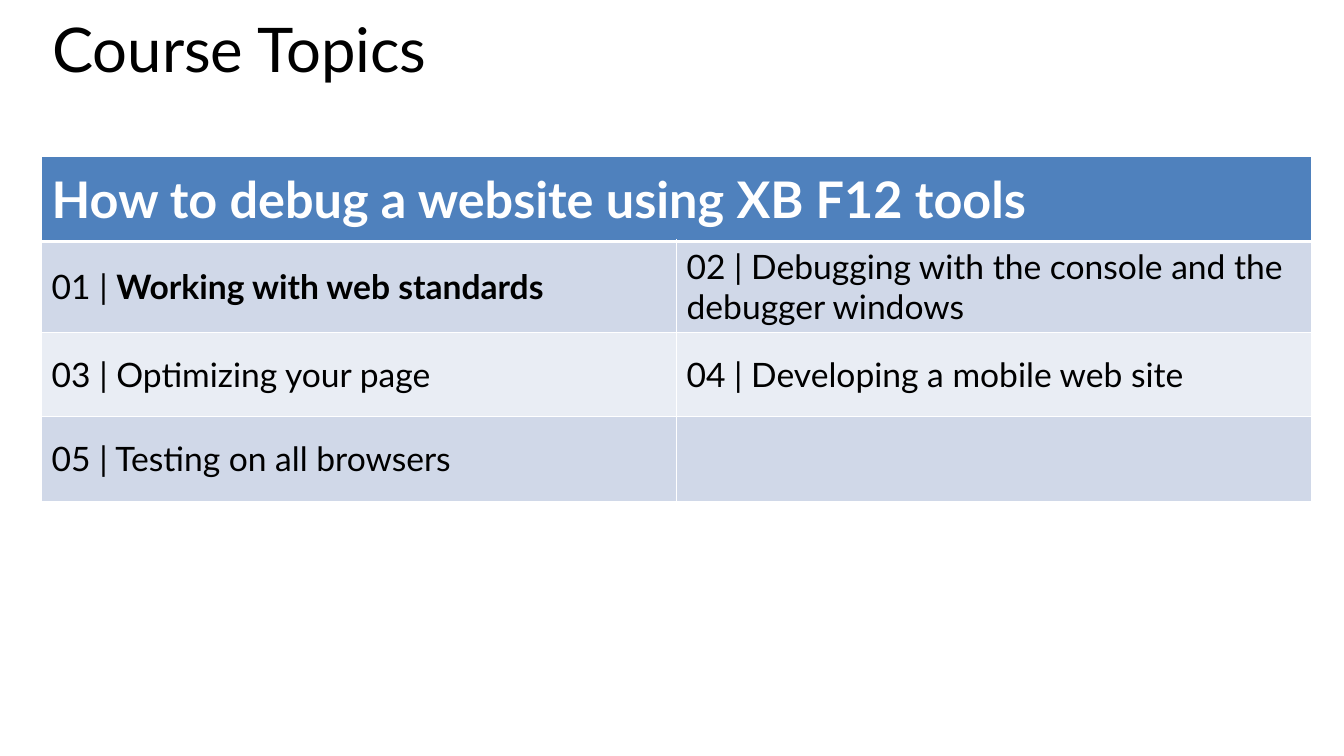
from lxml import etree
from pptx import Presentation
from pptx import util as u
from pptx.dml import color
from pptx.enum import text
from pptx.oxml import ns

FONT = "Lato"
HEADING = "How to debug a website using XB F12 tools"
# Each topic is a list of (wording, bold) runs
TOPICS = [
    [[("01 | ", False), ("Working with web standards", True)],
     [("02 | Debugging with the console and the debugger windows", False)]],
    [[("03 | Optimizing your page", False)],
     [("04 | Developing a mobile web site", False)]],
    [[("05 | Testing on all browsers", False)], []],
]
HEADER_FILL = "4F81BD"
BAND_FILLS = ["D0D8E8", "E9EDF4"]


def rgb(value):
    return color.RGBColor.from_string(value)


def add_run(paragraph, wording, size, font_color, bold=False):
    run = paragraph.add_run()
    run.text = wording
    font_format = {"name": FONT, "size": u.Pt(size), "bold": bold}
    for name, value in font_format.items():
        setattr(run.font, name, value)
    run.font.color.rgb = rgb(font_color)


def set_borders(cell, widths):
    """Draw white borders; widths maps L, R, T and B to points."""
    properties = cell._tc.get_or_add_tcPr()
    for side, width in widths.items():
        line = etree.SubElement(properties, ns.qn(f"a:ln{side}"), w=str(u.Pt(width)))
        fill = etree.SubElement(line, ns.qn("a:solidFill"))
        etree.SubElement(fill, ns.qn("a:srgbClr"), val="FFFFFF")


def style_cell(cell, fill, top=1, bottom=1):
    set_borders(cell, {"L": 1, "R": 1, "T": top, "B": bottom})
    cell.fill.solid()
    cell.fill.fore_color.rgb = rgb(fill)
    cell.vertical_anchor = text.MSO_ANCHOR.MIDDLE


def add_title(slide, left, top, width, height):
    frame = slide.shapes.add_textbox(left, top, width, height).text_frame
    frame_format = {"word_wrap": True, "vertical_anchor": text.MSO_ANCHOR.TOP}
    for name, value in frame_format.items():
        setattr(frame, name, value)
    paragraph = frame.paragraphs[0]
    paragraph.line_spacing = 0.8
    add_run(paragraph, "Course Topics", 44, "000000")


def add_topic_table(slide, left, top, width, height):
    row_count, column_count = len(TOPICS) + 1, len(TOPICS[0])
    table = slide.shapes.add_table(
        row_count, column_count, left, top, width, height).table

    # Heading across all columns
    for cell in table.rows[0].cells:
        style_cell(cell, HEADER_FILL, bottom=3)
    heading = table.cell(0, 0)
    heading.merge(table.cell(0, column_count - 1))
    add_run(heading.text_frame.paragraphs[0], HEADING, 36, "FFFFFF", True)

    # Banded topic rows
    for row, topics in enumerate(TOPICS, start=1):
        for column, runs in enumerate(topics):
            cell = table.cell(row, column)
            style_cell(cell, BAND_FILLS[(row - 1) % 2], top=3 if row == 1 else 1)
            for wording, bold in runs:
                add_run(cell.text_frame.paragraphs[0], wording, 24, "000000", bold)


presentation = Presentation()
presentation.slide_width = u.Cm(33.87)
presentation.slide_height = u.Cm(19.05)
slide = presentation.slides.add_slide(presentation.slide_layouts[6])
add_title(slide, u.Cm(1.07), u.Cm(0.5), u.Cm(32), u.Cm(2.95))
add_topic_table(slide, u.Cm(1.05), u.Cm(3.95), u.Cm(32), u.Cm(8.53))
presentation.save("out.pptx")
